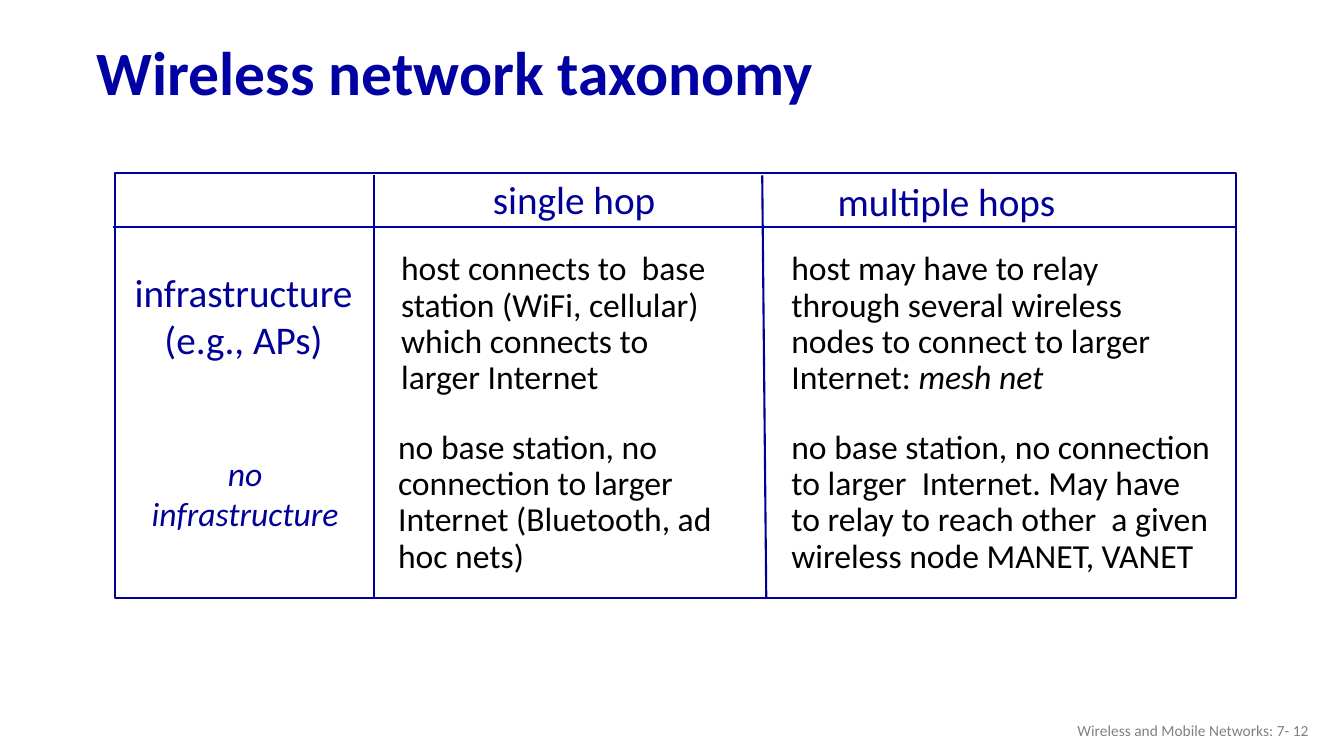
"""Build the wireless network taxonomy slide: a two-by-two grid of network kinds."""
from pptx import Presentation
from pptx.dml.color import RGBColor
from pptx.enum.shapes import MSO_CONNECTOR, MSO_SHAPE
from pptx.enum.text import MSO_ANCHOR, PP_ALIGN
from pptx.util import Inches, Pt
from lxml import etree

LEFT, CENTER, RIGHT = PP_ALIGN.LEFT, PP_ALIGN.CENTER, PP_ALIGN.RIGHT
TOP, MIDDLE = MSO_ANCHOR.TOP, MSO_ANCHOR.MIDDLE
STRAIGHT, RECTANGLE = MSO_CONNECTOR.STRAIGHT, MSO_SHAPE.RECTANGLE
TITLE_BLUE = RGBColor(0x00, 0x00, 0xA3)
GRID_BLUE = RGBColor(0x00, 0x00, 0x99)
HEADER_RULE_BLUE = RGBColor(0x00, 0x00, 0xA8)
GRAY = RGBColor(0x80, 0x80, 0x80)
BLACK = RGBColor(0x00, 0x00, 0x00)
DRAWING_NS = "http://schemas.openxmlformats.org/drawingml/2006/main"

GRID_LEFT, GRID_TOP, GRID_RIGHT, GRID_BOTTOM = 1.14, 1.72, 12.26, 5.93
HEADER_BOTTOM = 2.25
ROW_TOPS = (2.45, 4.22)
ROW_HEIGHT = 1.56

presentation = Presentation()
presentation.slide_width = Inches(13.33)
presentation.slide_height = Inches(7.5)
slide = presentation.slides.add_slide(presentation.slide_layouts[6])


def add_text(box, paragraphs, size, color, align=LEFT, anchor=TOP,
             spacing=1.0, wrap=True, bold=False):
    """Place paragraphs, each a list of (text, italic) runs, in a box in inches."""
    frame = slide.shapes.add_textbox(*map(Inches, box)).text_frame
    frame.word_wrap = wrap
    frame.vertical_anchor = anchor
    for index, runs in enumerate(paragraphs):
        paragraph = frame.add_paragraph() if index else frame.paragraphs[0]
        paragraph.alignment = align
        paragraph.line_spacing = spacing
        for text, italic in runs:
            run = paragraph.add_run()
            run.text = text
            run.font.name = "Calibri"
            run.font.size = Pt(size)
            run.font.color.rgb = color
            run.font.bold = bold
            run.font.italic = italic


add_text((0.86, 0.26, 11.5, 0.98), [[("Wireless network taxonomy", False)]],
         44, TITLE_BLUE, anchor=MIDDLE, spacing=0.9, bold=True)
add_text((10.08, 7.05, 3, 0.4), [[("Wireless and Mobile Networks: 7- 12", False)]],
         11, GRAY, align=RIGHT, anchor=MIDDLE)

headings = [
    ((4.79, 1.69, 1.83, 0.57), ["single hop"], 28, False, LEFT),
    ((8.21, 1.71, 2.39, 0.57), ["multiple hops"], 28, False, LEFT),
    ((1.22, 2.61, 2.39, 1.04), ["infrastructure", "(e.g., APs)"], 28, False, CENTER),
    ((1.39, 4.44, 2.08, 0.91), ["no", "infrastructure"], 24, True, CENTER),
]
for box, lines, size, italic, align in headings:
    add_text(box, [[(line, italic)] for line in lines], size, GRID_BLUE,
             align=align, wrap=False)

descriptions = [
    (0, 3.88, 3.31, [[("host connects to  base station (WiFi, cellular) "
                       "which connects to larger Internet", False)]]),
    (1, 3.85, 3.68, [[("no base station, no connection to larger Internet "
                       "(Bluetooth, ad hoc nets)", False)]]),
    (0, 7.75, 4.18, [[("host may have to relay through several wireless nodes "
                       "to connect to larger", False)],
                     [("Internet: ", False), ("mesh net", True)]]),
    (1, 7.75, 4.38, [[("no base station, no connection to larger  Internet. "
                       "May have to relay to reach other  a given "
                       "wireless node MANET, VANET", False)]]),
]
for row, left, width, paragraphs in descriptions:
    add_text((left, ROW_TOPS[row], width, ROW_HEIGHT), paragraphs, 24, BLACK, spacing=0.9)

grid_frame = slide.shapes.add_shape(
    RECTANGLE, Inches(GRID_LEFT), Inches(GRID_TOP),
    Inches(GRID_RIGHT - GRID_LEFT), Inches(GRID_BOTTOM - GRID_TOP))
grid_frame.shadow.inherit = False
grid_frame.fill.background()
grid_frame.line.color.rgb = GRID_BLUE
grid_frame.line.width = Pt(1.5)

dividers = [
    ((3.71, 1.74, 3.71, 5.92), GRID_BLUE, 1.5),
    ((7.56, 1.74, 7.6, 5.94), GRID_BLUE, 1.5),
    ((1.12, HEADER_BOTTOM, GRID_RIGHT, HEADER_BOTTOM), HEADER_RULE_BLUE, 1.75),
]
for ends, color, width in dividers:
    divider = slide.shapes.add_connector(STRAIGHT, *map(Inches, ends))
    divider.line.color.rgb = color
    divider.line.width = Pt(width)
    etree.SubElement(divider._element.spPr, f"{{{DRAWING_NS}}}effectLst")

presentation.save("out.pptx")
